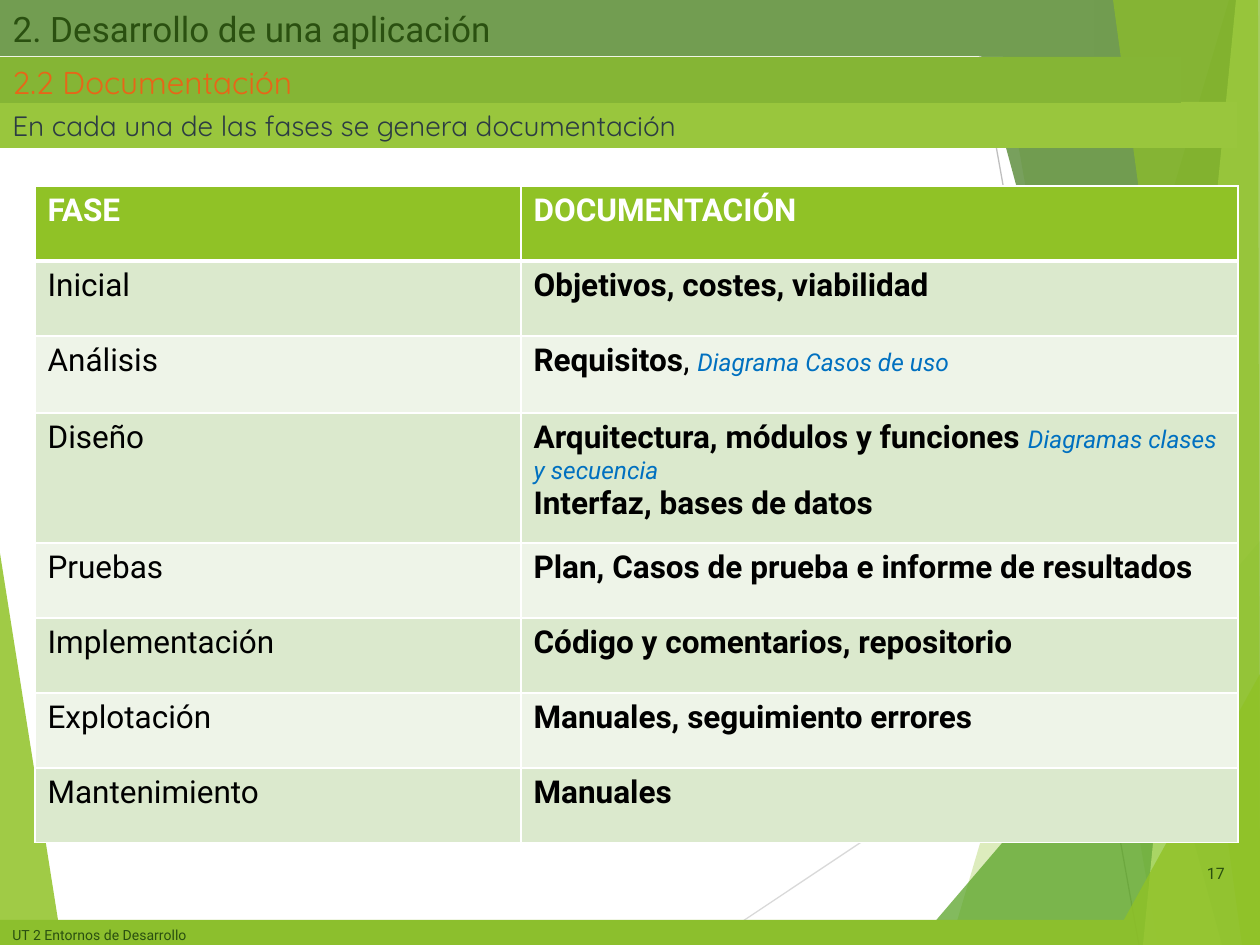
from lxml.etree import SubElement
from pptx import Presentation
from pptx.dml.color import RGBColor
from pptx.enum.shapes import MSO_CONNECTOR, MSO_SHAPE
from pptx.enum.text import MSO_ANCHOR, PP_ALIGN
from pptx.oxml.ns import qn
from pptx.util import Emu, Pt

PX = 914400 / 126
color = RGBColor.from_string


def px(*values):
    return [Emu(round(value * PX)) for value in values]


def write(frame, paragraphs, align=PP_ALIGN.LEFT):
    """Each paragraph is a list of (text, format) pairs."""
    frame.word_wrap = True
    for number, runs in enumerate(paragraphs):
        para = frame.add_paragraph() if number else frame.paragraphs[0]
        para.alignment = align
        for text, look in runs:
            span = para.add_run()
            span.text = text
            for name, value in look.items():
                if name == "color":
                    span.font.color.rgb = color(value)
                else:
                    setattr(span.font, name, value)


deck = Presentation()
deck.slide_width, deck.slide_height = px(1260, 945)
page = deck.slides.add_slide(deck.slide_layouts[5])
shapes = page.shapes

# Background facets and thin lines, back to front: points, colour, opacity %
left_facet = ([(0, 553), (62, 945), (0, 945)], "90C226", 85)
right_facets = [
    ([(1229, 0), (950, 945), (1260, 945), (1260, 0)], "90C226", 30),
    ([(993, 0), (1158, 945), (1260, 945), (1260, 0)], "90C226", 20),
    ([(915, 945), (1260, 541), (1260, 945)], "54A021", 72),
    ([(966, 0), (1222, 945), (1260, 945), (1260, 0)], "3F7819", 70),
    ([(1236, 0), (1143, 945), (1260, 945), (1260, 0)], "C0E474", 70),
    ([(1113, 0), (1242, 945), (1260, 945), (1258, 0)], "90C226", 65),
    ([(1110, 945), (1260, 674), (1260, 945)], "90C226", 80),
]
thin_lines = [((707, 945, 1260, 576), "D9D9D9"), ((970, 0, 1139, 945), "BFBFBF")]

for ends, tint in thin_lines:
    line = shapes.add_connector(MSO_CONNECTOR.STRAIGHT, *px(*ends))
    line.line.color.rgb = color(tint)
    line.line.width = Pt(0.75)
    SubElement(line._element.spPr, qn("a:effectLst"))

for points, tint, opacity in [left_facet, *right_facets]:
    outline = shapes.build_freeform(*points[0], scale=PX)
    outline.add_line_segments(points[1:], close=True)
    facet = outline.convert_to_shape()
    facet.shadow.inherit = False
    facet.line.fill.background()
    facet.fill.solid()
    facet.fill.fore_color.rgb = color(tint)
    tint_xml = facet._element.spPr.find(qn("a:solidFill"))[0]
    SubElement(tint_xml, qn("a:alpha")).set("val", str(opacity * 1000))

# Footer bar and the two subtitle bars
heading = {"size": Pt(18), "name": "Quicksand", "color": "E76618"}
bars = [
    ((0, 920, 1130, 25), "8CBF2D", "UT 2 Entornos de Desarrollo",
     {"size": Pt(8), "name": "Roboto", "color": "2A5010"}),
    ((0, 102, 1237, 46), "99C63D", "En cada una de las fases se genera documentación",
     {"size": Pt(16), "name": "Quicksand", "color": "2C3C43"}),
    ((0, 57, 1181, 46), "85B535", "2.2 Documentación", heading),
]
for place, tint, text, look in bars:
    bar = shapes.add_shape(MSO_SHAPE.RECTANGLE, *px(*place))
    bar.shadow.inherit = False
    bar.line.fill.background()
    bar.fill.solid()
    bar.fill.fore_color.rgb = color(tint)
    bar.text_frame.vertical_anchor = MSO_ANCHOR.TOP
    write(bar.text_frame, [[(text, look)]])

# Title, brought in front of the facets
title = shapes.title
title.left, title.top, title.width, title.height = px(0, 0, 1094, 56)
title.fill.solid()
title.fill.fore_color.rgb = color("729D51")
title.text_frame.vertical_anchor = MSO_ANCHOR.MIDDLE
write(title.text_frame, [[("2. Desarrollo de una aplicación",
                           {"size": Pt(20), "name": "Roboto", "color": "2A5010"})]])
shapes._spTree.append(title._element)

# Page number
number_box = shapes.add_textbox(*px(1167, 848, 70, 50))
number_box.text_frame.vertical_anchor = MSO_ANCHOR.MIDDLE
write(number_box.text_frame,
      [[("17", {"size": Pt(9), "name": "Roboto", "color": "2A5010"})]], PP_ALIGN.RIGHT)

# Table of phases and their documents
plain = {"size": Pt(18), "name": "Roboto", "color": "000000", "bold": False}
strong = {**plain, "bold": True}
header = {**strong, "color": "FFFFFF"}
diagram = {**plain, "size": Pt(14), "color": "0070C0", "italic": True}
rows = [
    ("FASE", [[("DOCUMENTACIÓN", header)]]),
    ("Inicial", [[("Objetivos, costes, viabilidad", strong)]]),
    ("Análisis", [[("Requisitos", strong), (", ", plain),
                   ("Diagrama Casos de uso", diagram)]]),
    ("Diseño", [[("Arquitectura, módulos y funciones ", strong),
                 ("Diagramas clases y secuencia", diagram)],
                [("Interfaz, bases de datos", strong)]]),
    ("Pruebas", [[("Plan, Casos de prueba e informe de resultados", strong)]]),
    ("Implementación", [[("Código y comentarios, repositorio", strong)]]),
    ("Explotación", [[("Manuales, seguimiento errores", strong)]]),
    ("Mantenimiento", [[("Manuales", strong)]]),
]
heights = [75, 75, 77, 130, 75, 75, 75, 75]
widths = [486, 717]
table = shapes.add_table(len(rows), 2, *px(35, 186, sum(widths), sum(heights))).table
for column, width in zip(table.columns, px(*widths)):
    column.width = width

for index, (phase, documents) in enumerate(rows):
    table.rows[index].height = px(heights[index])[0]
    tint = "90C226" if index == 0 else ("EEF4E8", "DBE9CD")[index % 2]
    phase_text = [[(phase, plain if index else header)]]
    for cell, content in zip(table.rows[index].cells, (phase_text, documents)):
        # White borders, thicker between the header and the first row
        for side in "LRTB":
            thick = (index, side) in [(0, "B"), (1, "T")]
            border = SubElement(cell._tc.get_or_add_tcPr(), qn(f"a:ln{side}"))
            border.set("w", str(Pt(3 if thick else 1)))
            SubElement(SubElement(border, qn("a:solidFill")),
                       qn("a:srgbClr")).set("val", "FFFFFF")
        cell.fill.solid()
        cell.fill.fore_color.rgb = color(tint)
        write(cell.text_frame, content)

deck.save("out.pptx")
